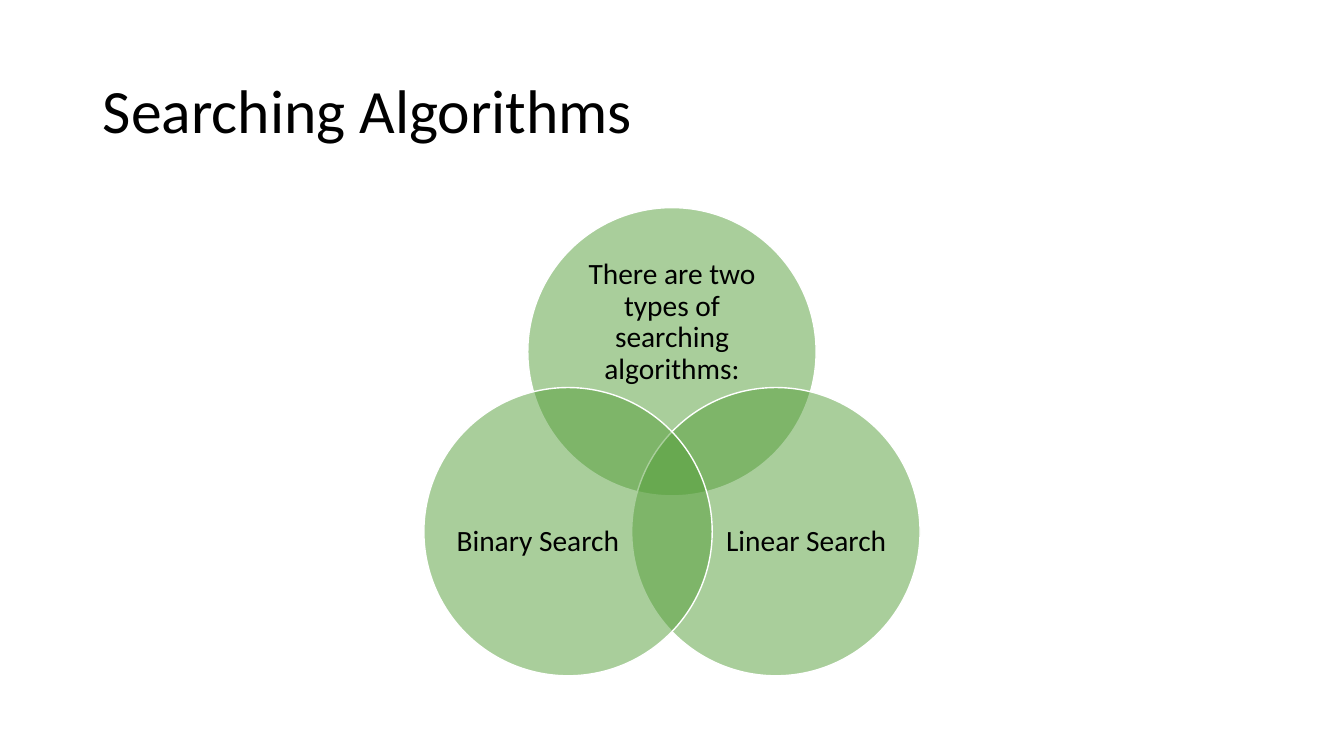
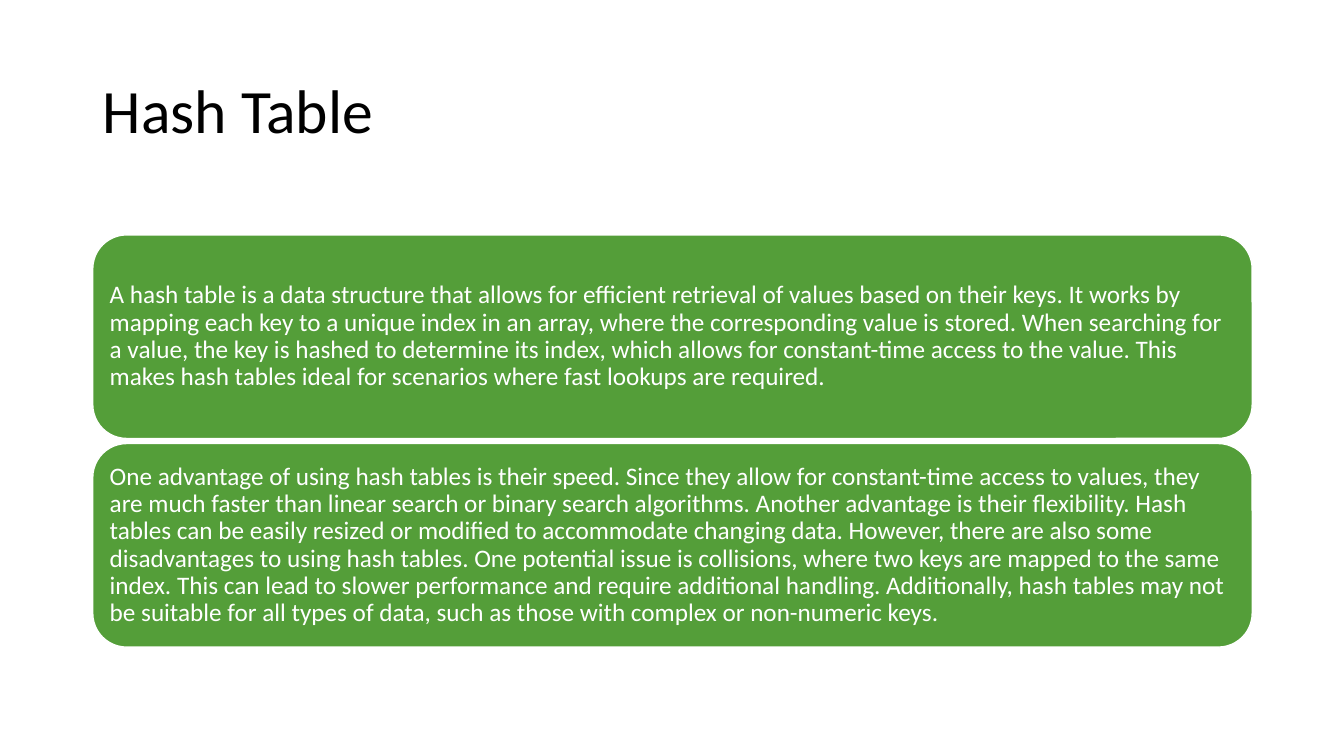
import math
from lxml import etree
from pptx import Presentation
from pptx.dml.color import RGBColor
from pptx.enum import shapes, text
from pptx.oxml import ns
from pptx.util import Inches, Pt

# Content
VENN_TITLE = "Searching Algorithms"
# label, angle on the ring, label offset from circle centre, label size
VENN_CIRCLES = [
    ("There are two types of searching algorithms:", -90, (0, -0.29), (2.09, 1.28)),
    ("Linear Search", 30, (0.3, 0.1), (1.71, 1.57)),
    ("Binary Search", 150, (-0.3, 0.1), (1.71, 1.57)),
]
PANEL_TITLE = "Hash Table"
PANELS = [
    "A hash table is a data structure that allows for efficient retrieval of values "
    "based on their keys. It works by mapping each key to a unique index in an array, "
    "where the corresponding value is stored. When searching for a value, the key is "
    "hashed to determine its index, which allows for constant-time access to the value. "
    "This makes hash tables ideal for scenarios where fast lookups are required.",
    "One advantage of using hash tables is their speed. Since they allow for "
    "constant-time access to values, they are much faster than linear search or binary "
    "search algorithms. Another advantage is their flexibility. Hash tables can be easily "
    "resized or modified to accommodate changing data. However, there are also some "
    "disadvantages to using hash tables. One potential issue is collisions, where two "
    "keys are mapped to the same index. This can lead to slower performance and require "
    "additional handling. Additionally, hash tables may not be suitable for all types of "
    "data, such as those with complex or non-numeric keys.",
]

# Shared style
COLORS = {"green": "549E39", "white": "FFFFFF", "black": "000000"}
FONT = "Calibri"
SLIDE_W, SLIDE_H = 13.33, 7.5
MARGIN, CONTENT_W = 0.92, 11.5
TITLE_TOP, TITLE_H = 0.4, 1.45

# Venn geometry
RING_CENTER = (SLIDE_W / 2, 4.68)
RING_RADIUS = 1.19
DIAMETER = 2.86

# Panel geometry
PANEL_TOP, PANEL_H, PANEL_GAP = 2.33, 2.02, 0.05


def color(name):
    return RGBColor.from_string(COLORS[name])


def write(shape, words, size, ink, align, insets):
    frame = shape.text_frame
    frame.text = words
    side, end = (Inches(inset) for inset in insets)
    frame_format = {
        "word_wrap": True,
        "auto_size": text.MSO_AUTO_SIZE.NONE,
        "vertical_anchor": text.MSO_ANCHOR.MIDDLE,
        "margin_left": side, "margin_right": side,
        "margin_top": end, "margin_bottom": end,
    }
    for key, value in frame_format.items():
        setattr(frame, key, value)
    paragraph = frame.paragraphs[0]
    paragraph.alignment = align
    paragraph.line_spacing = 0.9
    font = paragraph.runs[0].font
    for key, value in {"name": FONT, "size": Pt(size), "bold": False}.items():
        setattr(font, key, value)
    font.color.rgb = color(ink)


def add_titled_slide(deck, title):
    slide = deck.slides.add_slide(deck.slide_layouts[5])
    heading = slide.shapes.title
    place = {"left": MARGIN, "top": TITLE_TOP, "width": CONTENT_W, "height": TITLE_H}
    for key, value in place.items():
        setattr(heading, key, Inches(value))
    write(heading, title, 44, "black", text.PP_ALIGN.LEFT, (0.1, 0.05))
    return slide


def add_green(slide, preset, box, alpha=100):
    shape = slide.shapes.add_shape(preset, *map(Inches, box))
    shape.shadow.inherit = False
    shape.fill.solid()
    shape.fill.fore_color.rgb = color("green")
    shape.line.color.rgb = color("white")
    shape.line.width = Pt(1)
    if alpha < 100:
        fill_color = shape.fill._xPr.find(".//" + ns.qn("a:srgbClr"))
        etree.SubElement(fill_color, ns.qn("a:alpha"), val=str(alpha * 1000))
    return shape


def centered_box(x, y, width, height):
    return x - width / 2, y - height / 2, width, height


def build_venn(deck):
    slide = add_titled_slide(deck, VENN_TITLE)
    for label, degrees, (dx, dy), label_size in VENN_CIRCLES:
        angle = math.radians(degrees)
        x = RING_CENTER[0] + RING_RADIUS * math.cos(angle)
        y = RING_CENTER[1] + RING_RADIUS * math.sin(angle)
        add_green(slide, shapes.MSO_SHAPE.OVAL,
                  centered_box(x, y, DIAMETER, DIAMETER), alpha=50)
        label_box = centered_box(x + dx, y + dy, *label_size)
        caption = slide.shapes.add_textbox(*map(Inches, label_box))
        write(caption, label, 21, "black", text.PP_ALIGN.CENTER, (0, 0))


def build_panels(deck):
    slide = add_titled_slide(deck, PANEL_TITLE)
    for row, words in enumerate(PANELS):
        top = PANEL_TOP + row * (PANEL_H + PANEL_GAP)
        panel = add_green(slide, shapes.MSO_SHAPE.ROUNDED_RECTANGLE,
                          (MARGIN, top, CONTENT_W, PANEL_H))
        write(panel, words, 18, "white", text.PP_ALIGN.LEFT, (0.07, 0.07))


def main():
    deck = Presentation()
    deck.slide_width, deck.slide_height = Inches(SLIDE_W), Inches(SLIDE_H)
    build_venn(deck)
    build_panels(deck)
    deck.save("out.pptx")


if __name__ == "__main__":
    main()
